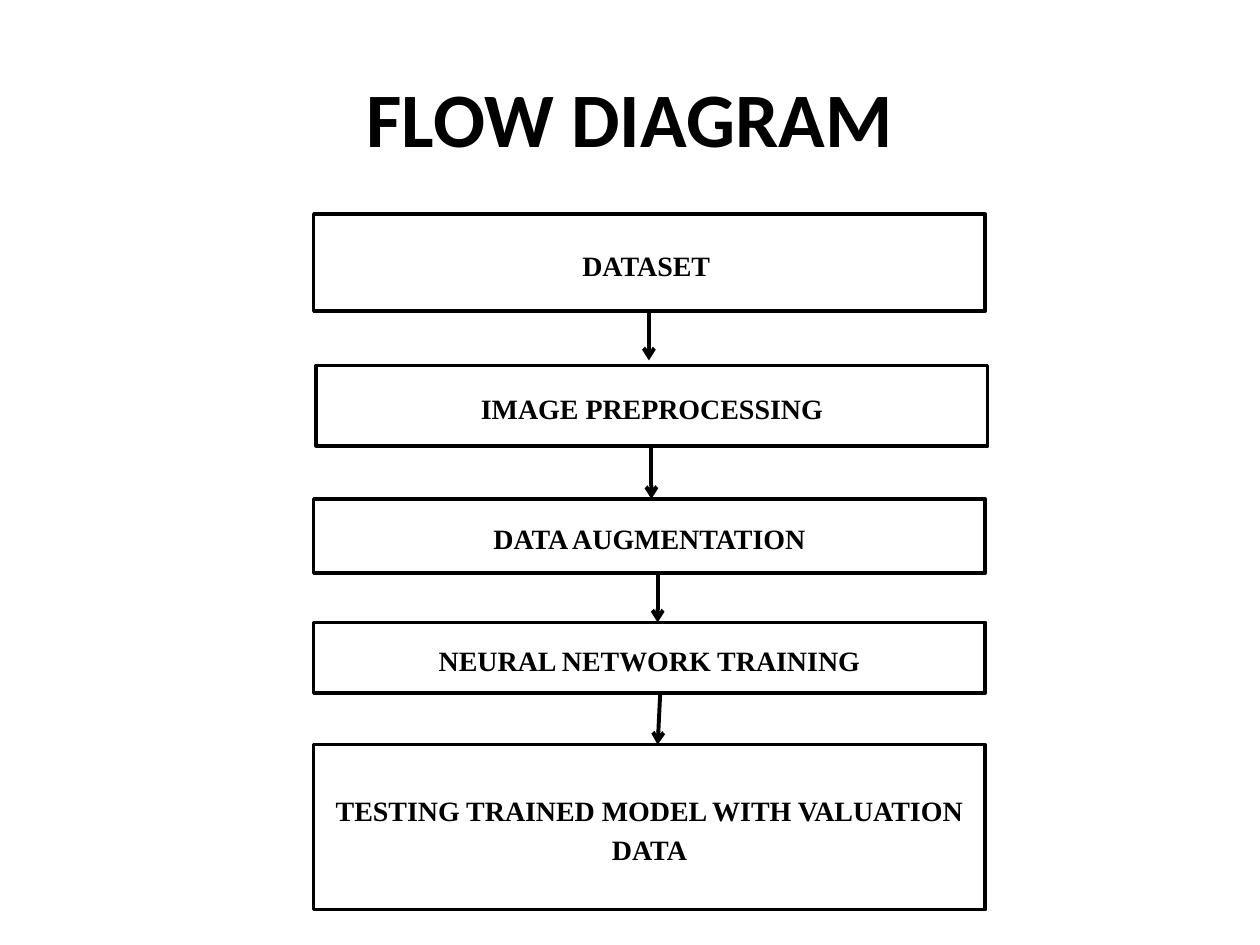
import lxml.etree
import pptx
import pptx.util
import pptx.dml.color
import pptx.enum.shapes
import pptx.enum.text
import pptx.oxml.ns

TITLE = "FLOW DIAGRAM"
BLACK = "000000"
BOX_LEFT, BOX_WIDTH = 2.49, 5.33

# label, left shift, top, height
STEPS = [
    ("DATASET ", 0, 1.7, 0.77),
    ("IMAGE PREPROCESSING", 0.02, 2.9, 0.64),
    ("DATA AUGMENTATION", 0, 3.96, 0.59),
    ("NEURAL NETWORK TRAINING", 0, 4.94, 0.56),
    ("TESTING TRAINED MODEL WITH VALUATION DATA", 0, 5.91, 1.31),
]
# start x, end x, gap left before the next box
ARROWS = [(5.15, 5.15, 0.04), (5.17, 5.17, 0), (5.22, 5.22, 0), (5.24, 5.22, 0)]


def inches(*values):
    """Convert numbers to lengths in inches."""
    return [pptx.util.Inches(v) for v in values]


def color(value):
    """Turn a hex string into a colour."""
    return pptx.dml.color.RGBColor.from_string(value)


def set_line(line, width):
    """Draw a black line of the given width in points."""
    line.color.rgb = color(BLACK)
    line.width = pptx.util.Pt(width)


def write(sp, text, font, size):
    """Put bold, centred black text in a shape."""
    tf = sp.text_frame
    tf.word_wrap = True
    tf.vertical_anchor = pptx.enum.text.MSO_ANCHOR.MIDDLE
    p = tf.paragraphs[0]
    p.text = text
    p.alignment = pptx.enum.text.PP_ALIGN.CENTER
    p.font.name, p.font.size, p.font.bold = font, pptx.util.Pt(size), True
    p.font.color.rgb = color(BLACK)
    return p


def add_step(s, label, shift, top, height):
    """Add one outlined box of the flow."""
    sp = s.shapes.add_shape(pptx.enum.shapes.MSO_SHAPE.RECTANGLE,
                            *inches(BOX_LEFT + shift, top, BOX_WIDTH, height))
    sp.shadow.inherit = False
    sp.fill.background()
    set_line(sp.line, 2)
    write(sp, label, "Times New Roman", 16).line_spacing = 1.15


def add_arrow(s, x1, y1, x2, y2):
    """Add a line with an open arrowhead at its end."""
    cx = s.shapes.add_connector(pptx.enum.shapes.MSO_CONNECTOR.STRAIGHT,
                                *inches(x1, y1, x2, y2))
    set_line(cx.line, 2.25)
    qn = pptx.oxml.ns.qn
    spPr = cx._element.spPr
    lxml.etree.SubElement(spPr.find(qn("a:ln")), qn("a:tailEnd"), type="arrow")
    lxml.etree.SubElement(spPr, qn("a:effectLst"))


def main():
    """Build and save the slide."""
    prs = pptx.Presentation()
    prs.slide_width, prs.slide_height = inches(10, 7.5)
    s = prs.slides.add_slide(prs.slide_layouts[6])
    write(s.shapes.add_textbox(*inches(0.5, 0.3, 9, 1.25)), TITLE, "Calibri", 44)
    for step in STEPS:
        add_step(s, *step)
    for (x1, x2, gap), upper, lower in zip(ARROWS, STEPS, STEPS[1:]):
        add_arrow(s, x1, upper[2] + upper[3], x2, lower[2] - gap)
    prs.save("out.pptx")


main()
